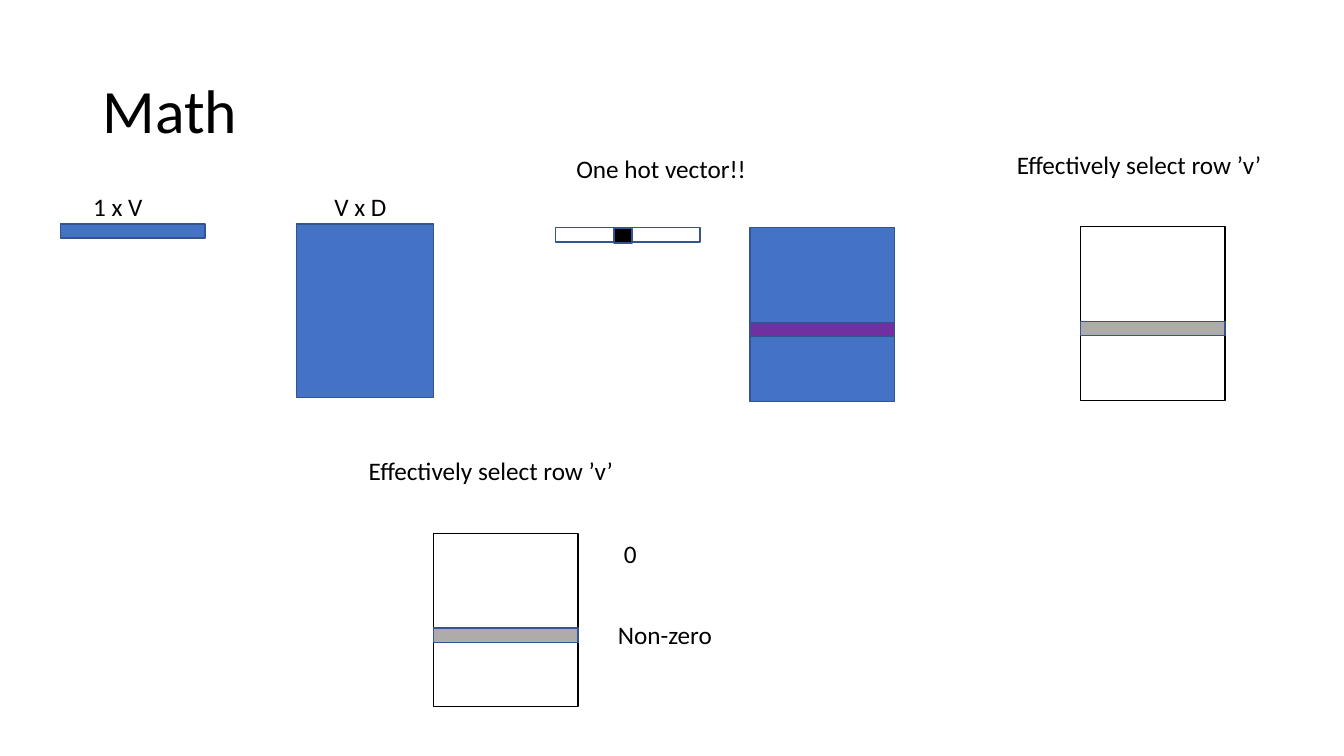
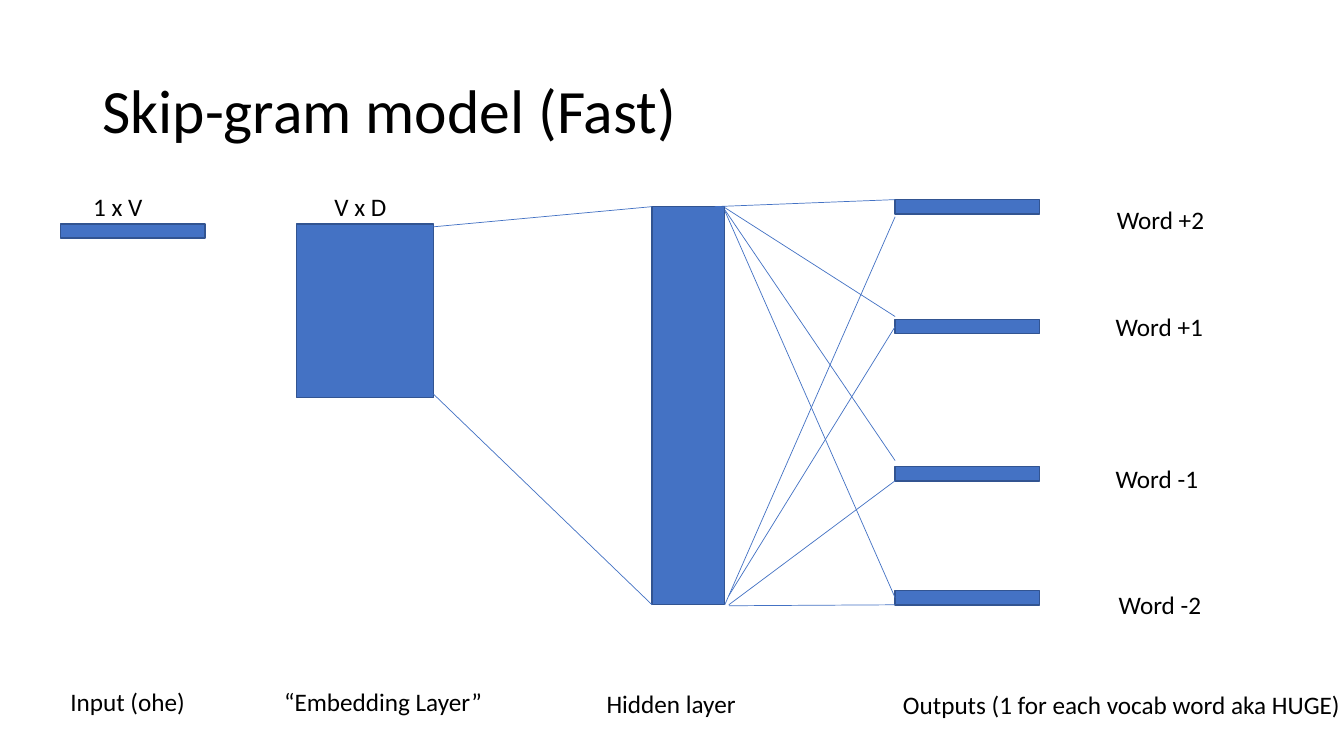
from pptx import Presentation
from pptx.dml.color import RGBColor
from pptx.enum.shapes import MSO_CONNECTOR, MSO_SHAPE
from pptx.enum.text import MSO_ANCHOR, MSO_AUTO_SIZE, PP_ALIGN
from pptx.oxml.ns import qn
from pptx.util import Pt
from lxml.etree import SubElement

BLUE = RGBColor(0x44, 0x72, 0xC4)
OUTLINE = RGBColor(0x32, 0x54, 0x91)
PURPLE = RGBColor(0x70, 0x30, 0xA0)
GREY = RGBColor(0xAF, 0xAB, 0xAB)
BLACK = RGBColor(0, 0, 0)
WHITE = RGBColor(0xFF, 0xFF, 0xFF)

BAR_WIDTH, BAR_HEIGHT = 103.2, 10.2
MATRIX_HEIGHT = 124
SELECTED_ROW_OFFSET = 67.7
LABEL_HEIGHT = 28.8
LEFT_SIDE = 1


class SlideWriter:
    font = "Calibri"
    title_size = 44
    label_size = 18

    def __init__(self):
        self.deck = Presentation()
        self.deck.slide_width, self.deck.slide_height = Pt(960), Pt(540)
        self.page = None

    def add_page(self, title):
        self.page = self.deck.slides.add_slide(self.deck.slide_layouts[5])
        box = self.page.shapes.title
        box.left, box.top, box.width, box.height = Pt(66), Pt(28.8), Pt(828), Pt(104.4)
        box.text_frame.vertical_anchor = MSO_ANCHOR.MIDDLE
        para = box.text_frame.paragraphs[0]
        para.alignment = PP_ALIGN.LEFT
        para.line_spacing = 0.9
        self.add_span(para, title, self.title_size)

    def add_span(self, para, text, size):
        span = para.add_run()
        span.text = text
        span.font.name = self.font
        span.font.size = Pt(size)
        span.font.color.rgb = BLACK

    def add_label(self, text, left, top, width):
        box = self.page.shapes.add_textbox(Pt(left), Pt(top), Pt(width), Pt(LABEL_HEIGHT))
        box.text_frame.word_wrap = False
        box.text_frame.auto_size = MSO_AUTO_SIZE.SHAPE_TO_FIT_TEXT
        self.add_span(box.text_frame.paragraphs[0], text, self.label_size)

    def add_block(self, left, top, width, height, fill=BLUE, line=OUTLINE):
        block = self.page.shapes.add_shape(
            MSO_SHAPE.RECTANGLE, Pt(left), Pt(top), Pt(width), Pt(height))
        block.shadow.inherit = False
        block.fill.solid()
        block.fill.fore_color.rgb = fill
        block.line.color.rgb = line
        block.line.width = Pt(1)
        return block

    def add_bar(self, left, top, fill=BLUE):
        return self.add_block(left, top, BAR_WIDTH, BAR_HEIGHT, fill)

    def add_matrix(self, left, top, fill, line, row_fill):
        self.add_block(left, top, BAR_WIDTH, MATRIX_HEIGHT, fill, line)
        self.add_bar(left, top + SELECTED_ROW_OFFSET, row_fill)

    def add_line(self, start, end, target=None):
        line = self.page.shapes.add_connector(
            MSO_CONNECTOR.STRAIGHT, *(Pt(value) for value in (*start, *end)))
        line.line.color.rgb = BLUE
        line.line.width = Pt(0.5)
        SubElement(line.element.spPr, qn("a:effectLst"))
        if target is not None:
            line.end_connect(target, LEFT_SIDE)

    def add_input_and_embedding(self):
        self.add_bar(43.2, 160)
        self.add_block(211.7, 160, 98, MATRIX_HEIGHT)
        self.add_label(" 1 x V", 55.4, 133.2, 54.7)
        self.add_label("V x D", 231.8, 133.2, 52.6)


def build_math(writer):
    writer.add_page("Math")
    writer.add_input_and_embedding()
    writer.add_bar(396.7, 162.7, WHITE)
    writer.add_block(438.5, 163.4, 13, BAR_HEIGHT, BLACK)
    writer.add_matrix(535.7, 162.7, BLUE, OUTLINE, PURPLE)
    for left, top in ((771.8, 162), (309.6, 380.9)):
        writer.add_matrix(left, top, WHITE, BLACK, GREY)
    for text, left, top, width in (
        ("One hot vector!!", 404.6, 105.8, 137.5),
        ("Effectively select row ’v’", 719.3, 103, 190.8),
        ("Effectively select row ’v’", 256.3, 321.8, 190.8),
        ("0", 438.5, 380.9, 23.8),
        ("Non-zero", 434.2, 438.5, 82.8),
    ):
        writer.add_label(text, left, top, width)


def build_skip_gram(writer):
    writer.add_page("Skip-gram model (Fast)")
    writer.add_input_and_embedding()
    writer.add_block(465.8, 147.6, 51.8, 284.4)
    writer.add_line((309.6, 162), (465.8, 147.6))
    writer.add_line((309.6, 281.5), (465.8, 432))

    output_left = 639.4
    bars = [writer.add_bar(output_left, top) for top in (142.6, 228.2, 333.4, 421.9)]
    for start, end_top, target in (
        ((510.5, 147.6), 142.6, None),
        ((517.7, 432), 154.8, None),
        ((517.7, 148.3), 226.1, None),
        ((520.6, 425.5), 233.3, bars[1]),
        ((517.7, 149.8), 329, None),
        ((520.6, 432), 343.4, None),
        ((517.7, 150.5), 427, bars[3]),
        ((520.6, 432.7), 432, None),
    ):
        writer.add_line(start, (output_left, end_top), target)

    for text, left, top, width in (
        ("Word +2", 790.6, 142.6, 77.8),
        ("Word +1", 789.8, 218.9, 77.8),
        ("Word -1", 789.8, 327.6, 74.2),
        ("Word -2", 792, 417.6, 74.2),
        ("Input (ohe)", 43.2, 486.7, 97.2),
        ("“Embedding Layer”", 195.8, 486.7, 157),
        ("Hidden layer", 426.2, 488.2, 108),
        ("Outputs (1 for each vocab word aka HUGE)", 637.9, 488.9, 330.5),
    ):
        writer.add_label(text, left, top, width)


def main():
    writer = SlideWriter()
    build_math(writer)
    build_skip_gram(writer)
    writer.deck.save("out.pptx")


if __name__ == "__main__":
    main()
